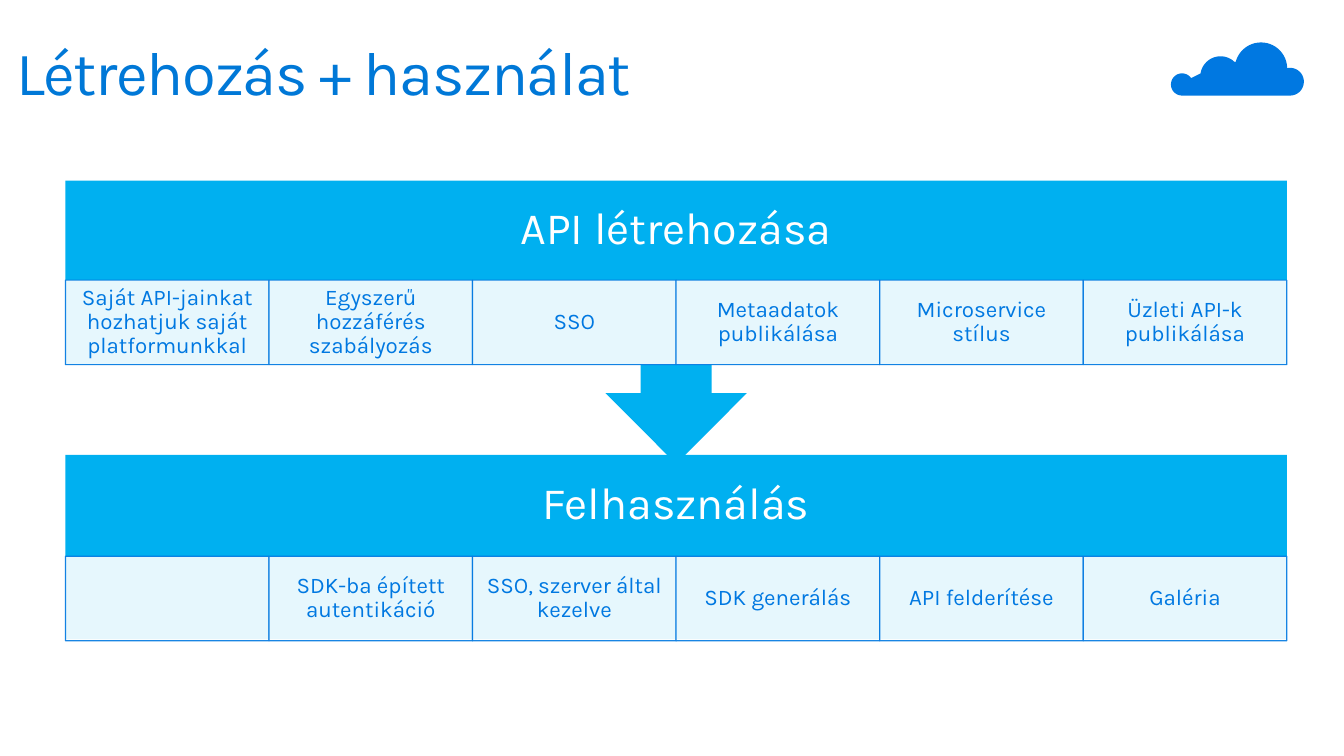
from math import cos, radians, sin

from lxml.etree import SubElement
from pptx import Presentation
from pptx.dml.color import RGBColor
from pptx.enum.shapes import MSO_SHAPE
from pptx.enum.text import MSO_ANCHOR, PP_ALIGN
from pptx.oxml.ns import qn
from pptx.util import Cm, Pt

SKY, BLUE, TITLE_BLUE, WHITE = "00B0F0", "0078E1", "0078D7", "FFFFFF"

LEFT, WIDTH = 1.65, 30.78
BAND_HEIGHT, CALLOUT_HEIGHT, CELL_HEIGHT = 4.65, 7.14, 2.13

# heading, shape, top, height, top of the cells, cell labels
BANDS = [
    ("Felhasználás", MSO_SHAPE.RECTANGLE, 11.46, BAND_HEIGHT, 14.02,
     ["", "SDK-ba épített autentikáció", "SSO, szerver által kezelve",
      "SDK generálás", "API felderítése", "Galéria"]),
    ("API létrehozása", MSO_SHAPE.DOWN_ARROW_CALLOUT, 4.55, CALLOUT_HEIGHT, 7.06,
     ["Saját API-jainkat hozhatjuk saját platformunkkal",
      "Egyszerű hozzáférés szabályozás", "SSO", "Metaadatok publikálása",
      "Microservice stílus", "Üzleti API-k publikálása"]),
]

# centre x, centre y, radius, start angle, end angle
CLOUD_ARCS = [
    (29.79, 2.13, 0.28, 270, 35),
    (30.76, 1.93, 0.51, 171, 47),
    (31.78, 1.73, 0.66, 165, 2),
    (32.51, 2.06, 0.35, 102, -90),
]
ARC_STEPS = 24


def colour(value):
    return RGBColor.from_string(value)


def set_alpha(shape, percent):
    """Make the solid fill and line of a shape partly transparent."""
    for rgb in shape.element.spPr.iter(qn("a:srgbClr")):
        SubElement(rgb, qn("a:alpha"), val=str(percent * 1000))


class SlideBuilder:
    font_name = "Karla"

    def __init__(self, slide):
        self.slide = slide

    def set_text(self, shape, text, size, text_colour, margins,
                 align=PP_ALIGN.CENTER, anchor=MSO_ANCHOR.MIDDLE):
        """Fill a shape with one paragraph; margins are left, top, right, bottom."""
        frame = shape.text_frame
        sides = ("margin_left", "margin_top", "margin_right", "margin_bottom")
        frame_format = dict(zip(sides, map(Cm, margins)),
                            word_wrap=True, vertical_anchor=anchor)
        for name, value in frame_format.items():
            setattr(frame, name, value)
        para = frame.paragraphs[0]
        para.alignment, para.line_spacing = align, 0.9
        span = para.add_run()
        span.text = text
        for name, value in {"name": self.font_name, "size": Pt(size)}.items():
            setattr(span.font, name, value)
        span.font.color.rgb = colour(text_colour)

    def paint(self, shape, fill):
        shape.shadow.inherit = False
        shape.fill.solid()
        shape.fill.fore_color.rgb = colour(fill)
        shape.line.fill.background()

    def title(self, text):
        title = self.slide.shapes.title
        place = {"left": 0, "top": 0.81, "width": 27.79, "height": 2.49}
        for name, value in place.items():
            setattr(title, name, Cm(value))
        self.set_text(title, text, 44, TITLE_BLUE, (0.41, 0.25, 0.41, 0.25),
                      PP_ALIGN.LEFT, MSO_ANCHOR.TOP)
        for run_format in title.element.iter(qn("a:rPr")):
            run_format.set("spc", "-100")

    def cloud(self):
        points = []
        for x, y, radius, start, end in CLOUD_ARCS:
            for step in range(ARC_STEPS + 1):
                angle = radians(start + (end - start) * step / ARC_STEPS)
                points.append((Cm(x + radius * cos(angle)),
                               Cm(y - radius * sin(angle))))
        outline = self.slide.shapes.build_freeform(*points[0])
        outline.add_line_segments(points[1:], close=True)
        self.paint(outline.convert_to_shape(), BLUE)

    def band(self, heading, kind, top, height):
        box = self.slide.shapes.add_shape(
            kind, Cm(LEFT), Cm(top), Cm(WIDTH), Cm(height))
        self.paint(box, SKY)
        self.set_text(box, heading, 32, WHITE,
                      (0.64, 0.64, 0.64, 0.64 + CELL_HEIGHT))

    def cells(self, labels, top):
        width = WIDTH / len(labels)
        for column, label in enumerate(labels):
            cell = self.slide.shapes.add_shape(
                MSO_SHAPE.RECTANGLE, Cm(LEFT + column * width), Cm(top),
                Cm(width), Cm(CELL_HEIGHT))
            self.paint(cell, WHITE)
            cell.line.color.rgb = colour(BLUE)
            cell.line.width = Pt(0.85)
            set_alpha(cell, 90)
            if label:
                self.set_text(cell, label, 16, BLUE, (0.3, 0.05, 0.3, 0.05))


def main():
    deck = Presentation()
    deck.slide_width, deck.slide_height = Cm(33.87), Cm(19.05)
    builder = SlideBuilder(deck.slides.add_slide(deck.slide_layouts[5]))
    builder.cloud()
    builder.title("Létrehozás + használat")
    for heading, kind, top, height, cells_top, labels in BANDS:
        builder.band(heading, kind, top, height)
        builder.cells(labels, cells_top)
    deck.save("out.pptx")


if __name__ == "__main__":
    main()
